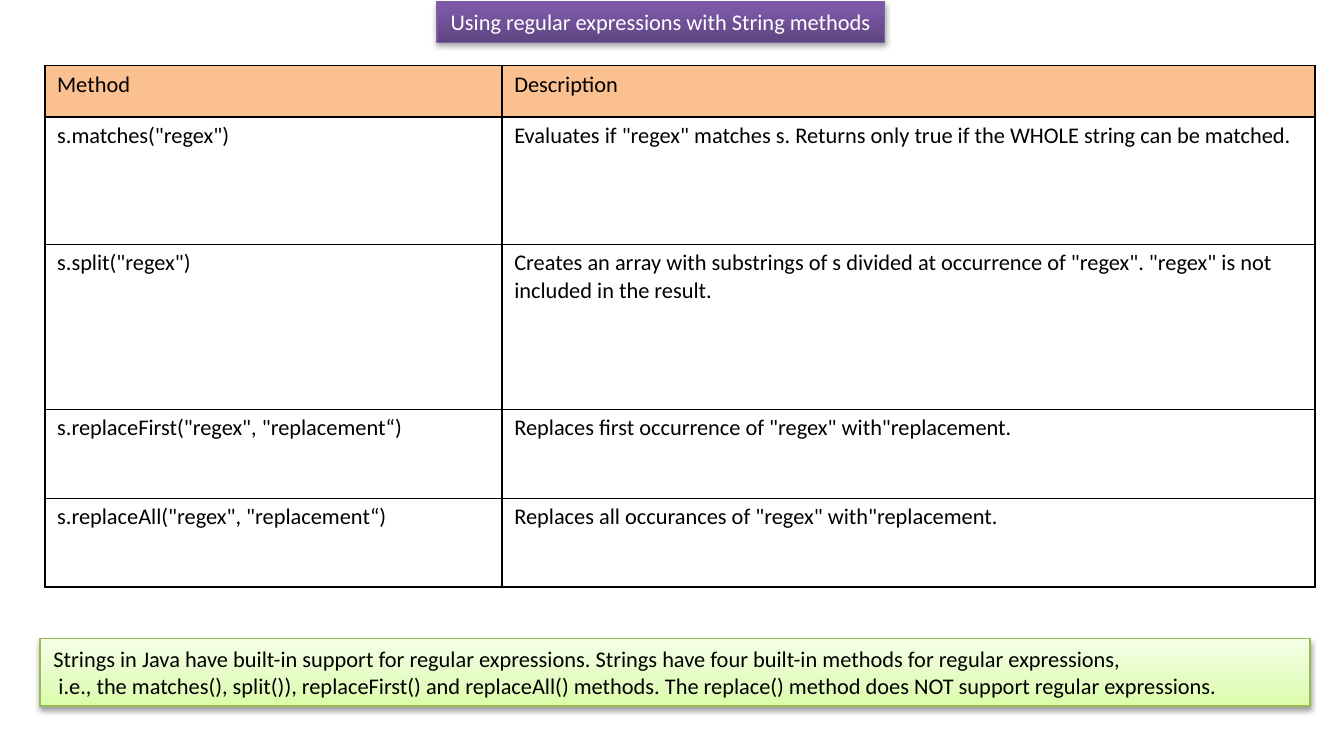
import pptx
import pptx.util
import pptx.dml.color
import pptx.enum.shapes
import pptx.enum.text
import pptx.oxml
import pptx.oxml.ns

Cm = pptx.util.Cm
Pt = pptx.util.Pt
NS = pptx.oxml.ns.nsdecls("a")


def hue(code):
    return pptx.dml.color.RGBColor.from_string(code)


def style(frame, code):
    for para in frame.paragraphs:
        for run in para.runs:
            run.font.size = Pt(12)
            run.font.name = "Calibri"
            run.font.color.rgb = hue(code)


deck = pptx.Presentation()
deck.slide_width = Cm(25.4)
deck.slide_height = Cm(13.97)
slide = deck.slides.add_slide(deck.slide_layouts[5])

title = slide.shapes.title
title.left, title.top, title.width, title.height = Cm(8.26), Cm(0.03), Cm(8.46), Cm(0.77)
title.text_frame.text = "Using regular expressions with String methods"
title.text_frame.paragraphs[0].alignment = pptx.enum.text.PP_ALIGN.CENTER

rows = [
    ("Method", "Description", 0.97),
    ('s.matches("regex")',
     'Evaluates if "regex" matches s. Returns only true if the WHOLE string can be matched.', 2.41),
    ('s.split("regex")',
     'Creates an array with substrings of s divided at occurrence of "regex". '
     '"regex" is not included in the result.', 3.12),
    ('s.replaceFirst("regex", "replacement“)',
     'Replaces first occurrence of "regex" with"replacement.', 1.68),
    ('s.replaceAll("regex", "replacement“)',
     'Replaces all occurances of "regex" with"replacement.', 1.68),
]
grid = slide.shapes.add_table(len(rows), 2, Cm(0.85), Cm(1.24), Cm(24), Cm(9.86)).table
grid.first_row = False
grid.horz_banding = False
grid.columns[0].width = Cm(8.64)
grid.columns[1].width = Cm(15.36)
for r, (name, note, high) in enumerate(rows):
    grid.rows[r].height = Cm(high)
    for c, text in enumerate((name, note)):
        cell = grid.cell(r, c)
        cell.text_frame.text = text
        cell.margin_left = cell.margin_right = Cm(0.23)
        cell.margin_top = cell.margin_bottom = Cm(0.1)
        style(cell.text_frame, "000000")
        props = cell._tc.get_or_add_tcPr()
        for side in "LRTB":
            props.append(pptx.oxml.parse_xml(
                f'<a:ln{side} {NS} w="12700"><a:solidFill><a:srgbClr val="000000"/>'
                f'</a:solidFill></a:ln{side}>'))
        if r == 0:
            cell.fill.solid()
            cell.fill.fore_color.rgb = hue("FAC090")
        else:
            cell.fill.background()

note = slide.shapes.add_shape(pptx.enum.shapes.MSO_SHAPE.RECTANGLE,
                              Cm(0.76), Cm(12.07), Cm(24), Cm(1.28))
note.text_frame.text = (
    "Strings in Java have built-in support for regular expressions. "
    "Strings have four built-in methods for regular expressions,\n"
    " i.e., the matches(), split()), replaceFirst() and replaceAll() methods. "
    "The replace() method does NOT support regular expressions.")
for para in note.text_frame.paragraphs:
    para.alignment = pptx.enum.text.PP_ALIGN.LEFT

looks = [
    (title, "FFFFFF", "7D60A0", 35, False, [(0, "5F4480"), (80, "7B58A6"), (100, "7C57A8")]),
    (note, "000000", "98B955", 38, True, [(0, "DAFDA7"), (35, "E4FCC2"), (100, "F5FFE7")]),
]
for box, ink, edge, dim, wrap, stops in looks:
    style(box.text_frame, ink)
    box.text_frame.word_wrap = wrap
    box.text_frame.auto_size = pptx.enum.text.MSO_AUTO_SIZE.NONE
    box.text_frame.vertical_anchor = pptx.enum.text.MSO_ANCHOR.MIDDLE
    box.line.color.rgb = hue(edge)
    box.line.width = Pt(0.75)
    box.fill.gradient()
    box.fill.gradient_angle = 90
    props = box._element.spPr
    ramp = props.find(".//" + pptx.oxml.ns.qn("a:gsLst"))
    for old in list(ramp):
        ramp.remove(old)
    for spot, code in stops:
        ramp.append(pptx.oxml.parse_xml(
            f'<a:gs {NS} pos="{spot * 1000}"><a:srgbClr val="{code}"/></a:gs>'))
    props.append(pptx.oxml.parse_xml(
        f'<a:effectLst {NS}><a:outerShdw blurRad="{Pt(3.1)}" dist="{Pt(1.7)}" dir="5400000" '
        f'rotWithShape="0"><a:srgbClr val="000000"><a:alpha val="{dim * 1000}"/></a:srgbClr>'
        f'</a:outerShdw></a:effectLst>'))

deck.save("out.pptx")
